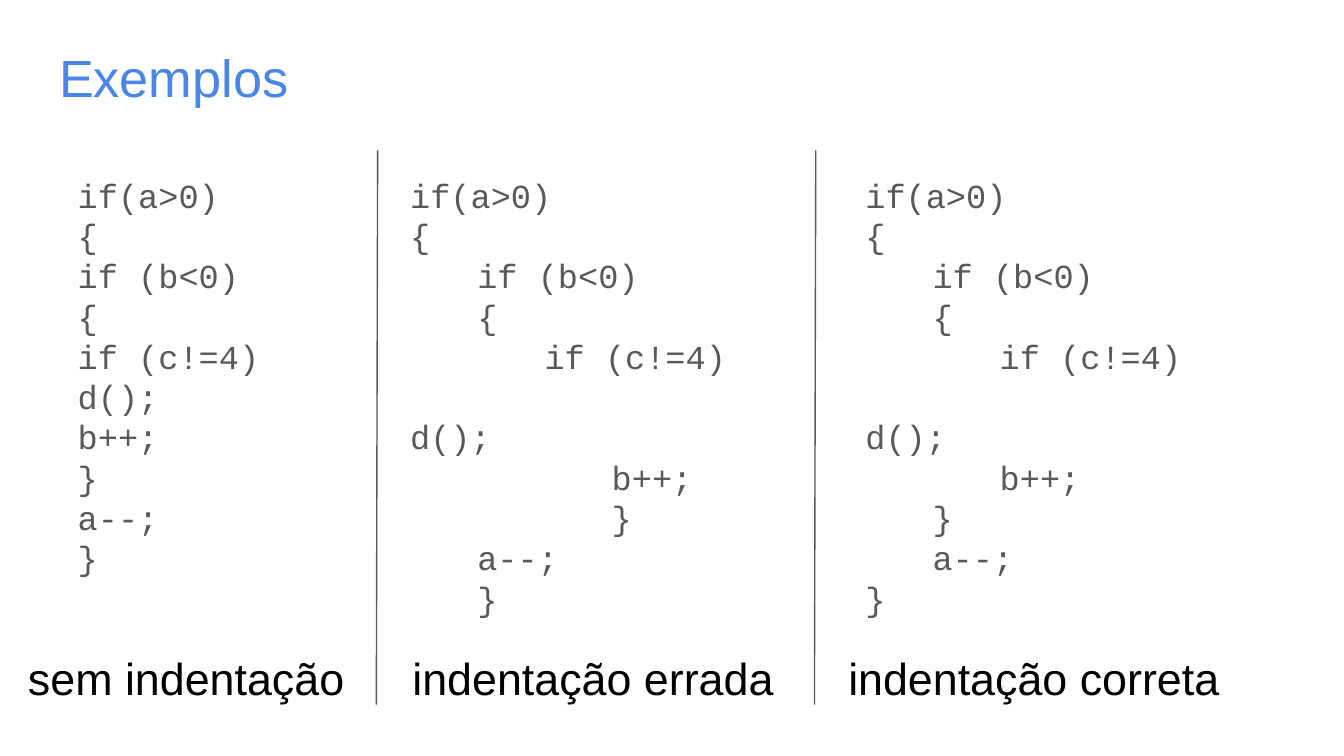
from pptx import Presentation
from pptx.dml.color import RGBColor
from pptx.enum.shapes import MSO_CONNECTOR
from pptx.util import Inches, Pt
from lxml import etree

STRAIGHT = MSO_CONNECTOR.STRAIGHT
DRAWING = "http://schemas.openxmlformats.org/drawingml/2006/main"
GRAY = "595959"
INDENT = Inches(0.5)
CODE_PITCH = Pt(21.6)
TITLE = {"name": "Arial", "size": Pt(28), "color": "4A86E8"}
CODE = {"name": "Courier New", "size": Pt(18), "color": GRAY}
CAPTION = {"name": "Arial", "size": Pt(24), "color": "000000"}

presentation = Presentation()
presentation.slide_width = Inches(10)
presentation.slide_height = presentation.slide_width * 9 // 16
slide = presentation.slides.add_slide(presentation.slide_layouts[6])
column = presentation.slide_width / 100
row = presentation.slide_height / 100


def color(hex_value):
    return RGBColor.from_string(hex_value)


def add_text(left, top, width, height, lines, style):
    shape = slide.shapes.add_textbox(
        int(left * column), int(top * row), int(width * column), int(height * row)
    )
    frame = shape.text_frame
    frame.word_wrap = True
    for side in ("left", "top", "right", "bottom"):
        setattr(frame, f"margin_{side}", Inches(0.1))
    for index, line in enumerate(lines):
        paragraph = frame.add_paragraph() if index else frame.paragraphs[0]
        run = paragraph.add_run()
        run.text = line
        for attribute, value in style.items():
            if attribute == "color":
                run.font.color.rgb = color(value)
            else:
                setattr(run.font, attribute, value)
    return frame


add_text(3.41, 4.25, 93.2, 11.2, ["Exemplos"], TITLE)

code_lines = ["if(a>0)", "{", "if (b<0)", "{", "if (c!=4)", "d();", "b++;", "}", "a--;", "}"]
examples = [
    (4.8, 21.8, [0] * 10, 1.1, 26.7, "sem indentação"),
    (29.53, 30.9, [0, 0, 1, 1, 2, 0, 3, 3, 1, 1], 29.7, 29.5, "indentação errada"),
    (63.4, 30.9, [0, 0, 1, 1, 2, 0, 2, 1, 1, 0], 62.13, 30.9, "indentação correta"),
]
for left, width, depths, caption_left, caption_width, caption in examples:
    frame = add_text(left, 21.3, width, 66.5, code_lines, CODE)
    for paragraph, depth in zip(frame.paragraphs, depths):
        paragraph.line_spacing = CODE_PITCH
        paragraph._p.get_or_add_pPr().set("marL", str(depth * INDENT))
    if any(depths):
        frame.paragraphs[code_lines.index("d();")].space_before = CODE_PITCH
    add_text(caption_left, 84.35, caption_width, 11.2, [caption], CAPTION)

for divider in (28.1, 60.7):
    connector = slide.shapes.add_connector(
        STRAIGHT,
        int(divider * column), int(19.9 * row),
        int((divider - 0.1) * column), int(93.2 * row),
    )
    connector.line.color.rgb = color(GRAY)
    connector.line.width = Pt(0.75)
    etree.SubElement(connector._element.spPr, f"{{{DRAWING}}}effectLst")

presentation.save("out.pptx")
